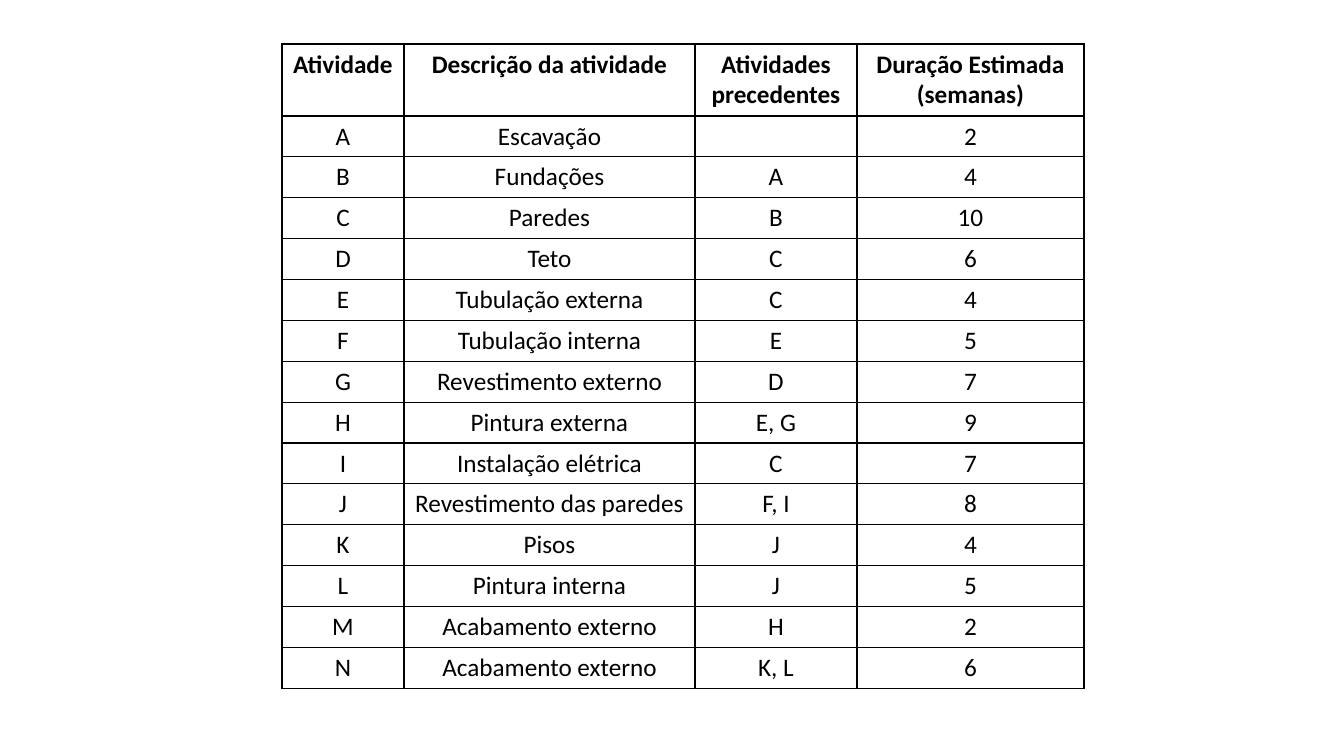
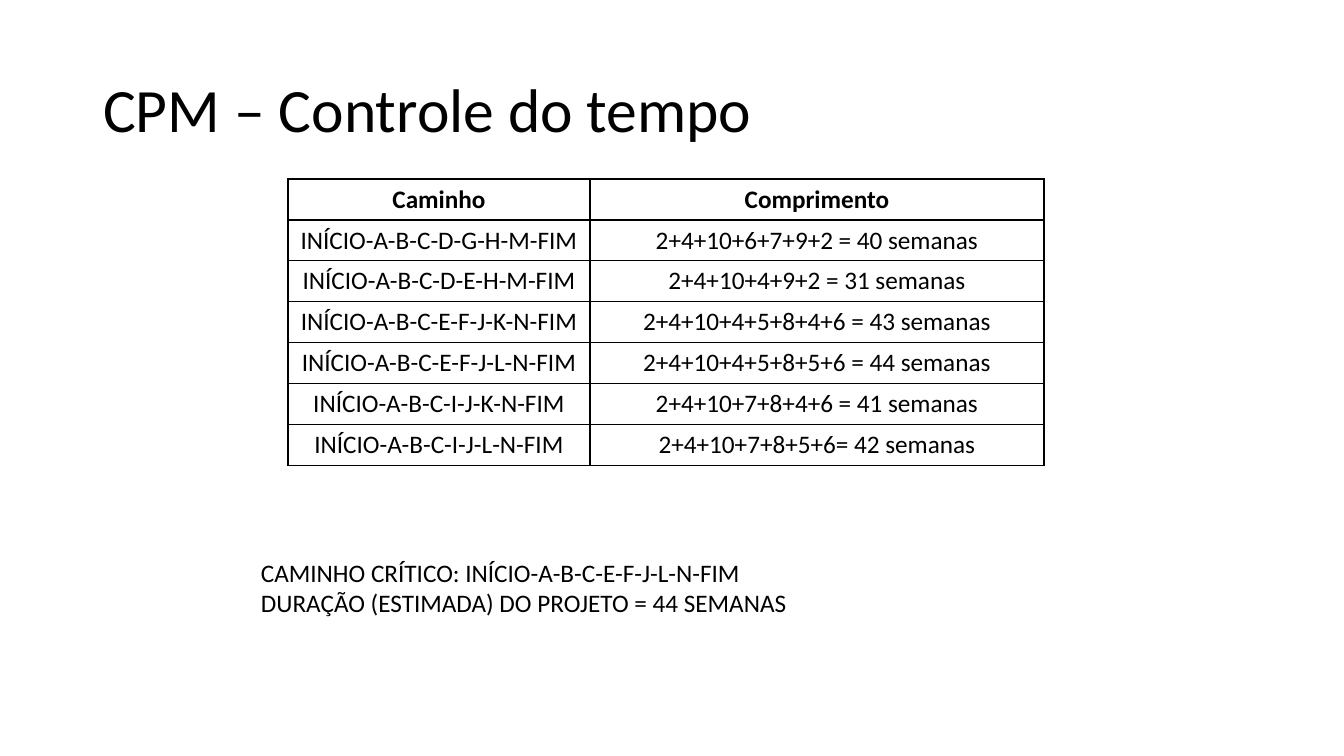
"""Build two slides on activity planning and the critical path of a project."""
from lxml import etree
from pptx import Presentation
from pptx.dml.color import RGBColor
from pptx.enum import text
from pptx.oxml import ns
from pptx import util as u

EMU_PER_PX = 914400 / 100.8
INK = "000000"
FONT = "Calibri"
BORDER = (
    '<a:{side} {namespace} w="12700"><a:solidFill><a:srgbClr val="{color}"/>'
    '</a:solidFill><a:prstDash val="solid"/></a:{side}>'
)


def px(*lengths):
    return [u.Emu(round(length * EMU_PER_PX)) for length in lengths]


def write(frame, content, size=18, bold=False, color=INK,
          align=text.PP_ALIGN.LEFT, spacing=None):
    frame.word_wrap = True
    for number, line in enumerate(content.split("\n")):
        paragraph = frame.add_paragraph() if number else frame.paragraphs[0]
        paragraph.alignment = align
        paragraph.line_spacing = spacing
        run = paragraph.add_run()
        run.text = line
        run.font.name = FONT
        run.font.size = u.Pt(size)
        run.font.bold = bold
        run.font.color.rgb = RGBColor.from_string(color)


activities = [
    ("Atividade", "Descrição da atividade", "Atividades precedentes",
     "Duração Estimada (semanas)"),
    ("A", "Escavação", "", "2"),
    ("B", "Fundações", "A", "4"),
    ("C", "Paredes", "B", "10"),
    ("D", "Teto", "C", "6"),
    ("E", "Tubulação externa", "C", "4"),
    ("F", "Tubulação interna", "E", "5"),
    ("G", "Revestimento externo", "D", "7"),
    ("H", "Pintura externa", "E, G", "9"),
    ("I", "Instalação elétrica", "C", "7"),
    ("J", "Revestimento das paredes", "F, I", "8"),
    ("K", "Pisos", "J", "4"),
    ("L", "Pintura interna", "J", "5"),
    ("M", "Acabamento externo", "H", "2"),
    ("N", "Acabamento externo", "K, L", "6"),
]
paths = [
    ("Caminho", "Comprimento"),
    ("INÍCIO-A-B-C-D-G-H-M-FIM", "2+4+10+6+7+9+2 = 40 semanas"),
    ("INÍCIO-A-B-C-D-E-H-M-FIM", "2+4+10+4+9+2 = 31 semanas"),
    ("INÍCIO-A-B-C-E-F-J-K-N-FIM", "2+4+10+4+5+8+4+6 = 43 semanas"),
    ("INÍCIO-A-B-C-E-F-J-L-N-FIM", "2+4+10+4+5+8+5+6 = 44 semanas"),
    ("INÍCIO-A-B-C-I-J-K-N-FIM", "2+4+10+7+8+4+6 = 41 semanas"),
    ("INÍCIO-A-B-C-I-J-L-N-FIM", "2+4+10+7+8+5+6= 42 semanas"),
]

deck = Presentation()
deck.slide_width, deck.slide_height = px(1344, 756)
planning = deck.slides.add_slide(deck.slide_layouts[6])
control = deck.slides.add_slide(deck.slide_layouts[5])

heading = control.shapes.title
heading.left, heading.top, heading.width, heading.height = px(93, 40, 1159, 146)
heading.text_frame.vertical_anchor = text.MSO_ANCHOR.MIDDLE
heading.text_frame.auto_size = text.MSO_AUTO_SIZE.NONE
write(heading.text_frame, "CPM – Controle do tempo", size=44, spacing=0.9)

for slide, entries, left, top, height, header, widths in (
    (planning, activities, 282, 44, 644, 72, (122, 291, 162, 227)),
    (control, paths, 288, 179, 286, 41, (302, 454)),
):
    grid = slide.shapes.add_table(
        len(entries), len(widths), *px(left, top, sum(widths), height)).table
    grid.horz_banding = False
    for column, width in zip(grid.columns, px(*widths)):
        column.width = width
    body = (height - header) / (len(entries) - 1)
    for r, entry in enumerate(entries):
        grid.rows[r].height = px(body if r else header)[0]
        for c, content in enumerate(entry):
            cell = grid.cell(r, c)
            write(cell.text_frame, content, bold=r == 0,
                  align=text.PP_ALIGN.CENTER)
            borders = cell._tc.get_or_add_tcPr()
            for side in ("lnL", "lnR", "lnT", "lnB"):
                borders.append(etree.fromstring(BORDER.format(
                    side=side, namespace=ns.nsdecls("a"), color=INK)))
            cell.fill.background()

conclusion = control.shapes.add_textbox(*px(251, 552, 793, 72)).text_frame
conclusion.auto_size = text.MSO_AUTO_SIZE.SHAPE_TO_FIT_TEXT
write(conclusion, "CAMINHO CRÍTICO: INÍCIO-A-B-C-E-F-J-L-N-FIM\n"
                  "DURAÇÃO (ESTIMADA) DO PROJETO = 44 SEMANAS")

deck.save("out.pptx")
